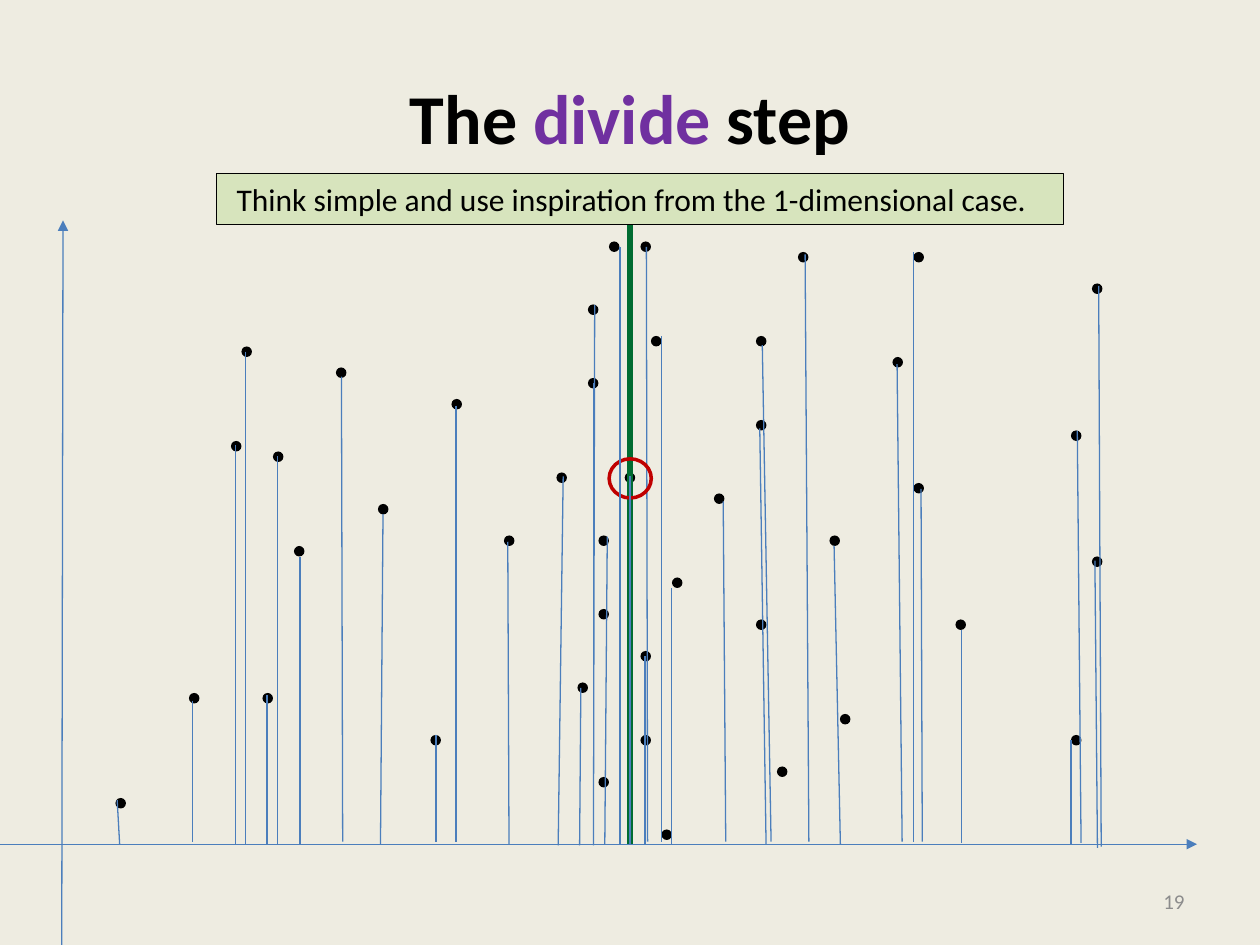
"""Build the slide showing the divide step on a set of points in the plane."""
from lxml.etree import SubElement
from pptx import Presentation
from pptx.dml.color import RGBColor
from pptx.enum.shapes import MSO_CONNECTOR, MSO_SHAPE
from pptx.enum.text import MSO_ANCHOR, PP_ALIGN
from pptx.oxml.ns import qn
from pptx.util import Cm, Pt

INCH = 2.54
DOT = INCH / 12
AXIS_Y = 6.7
rgb = RGBColor.from_string

DOTS = [
    (43, 38), (48, 51), (87, 46), (61, 62), (55, 65), (79, 51), (80, 68),
    (72, 32), (41, 70), (36, 48), (91, 59), (85, 34), (32, 35), (26, 43),
    (28, 52), (22, 42), (25, 66), (23, 33), (56, 29), (72, 40), (72, 59),
    (74, 73), (76, 24), (87, 24), (102, 41), (104, 53), (104, 27), (102, 70),
    (18, 66), (11, 76), (57, 51), (57, 74), (63, 79), (57, 58), (64, 55),
    (62, 32), (56, 36), (53, 45), (68, 47), (58, 23), (61, 23), (61, 70),
    (59.5, 45),
]
STEMS = [
    (1.95, 2.79, 1.95, 6.7), (2.2, 3.62, 2.2, 6.7), (2.38, 4.42, 2.38, 6.7),
    (3.04, 4.08, 3.02, 6.7), (2.71, 2.99, 2.72, 6.68), (3.62, 3.22, 3.62, 6.68),
    (4.03, 4.3, 4.04, 6.7), (4.47, 3.78, 4.43, 6.71), (3.46, 5.83, 3.46, 6.68),
    (4.61, 5.46, 4.6, 6.71), (6.39, 2.02, 6.42, 6.68), (8.72, 2.27, 8.74, 6.72),
    (7.63, 5, 7.63, 6.69), (8.5, 5.87, 8.5, 6.7), (8.55, 3.42, 8.58, 6.69),
    (8.69, 4.45, 8.71, 6.73), (5.33, 4.67, 5.33, 6.7), (7.25, 2, 7.25, 6.68),
    (7.31, 3.88, 7.32, 6.68), (6.62, 4.33, 6.67, 6.7), (7.12, 2.89, 7.16, 6.68),
    (6.03, 3.4, 6.08, 6.7), (6.05, 2.74, 6.12, 6.68), (4.71, 3.04, 4.71, 6.68),
    (4.72, 2.42, 4.71, 6.71), (5.74, 3.98, 5.76, 6.68), (5.13, 1.96, 5.14, 6.68),
    (5.25, 2.67, 5.25, 6.68), (1.53, 5.56, 1.53, 6.68), (2.12, 5.52, 2.12, 6.7),
    (0.93, 6.35, 0.95, 6.7), (1.87, 3.53, 1.87, 6.7),
]
MIDDLE_STEMS = [
    (4.92, 1.96, 4.92, 6.71), (4.82, 4.26, 4.8, 6.7),
    (5, 3.78, 5, 6.71), (5.12, 5.21, 5.12, 6.71),
]


def add_line(ends, color="4B7EBC", width=0.75, arrow=False):
    cxn = s.shapes.add_connector(MSO_CONNECTOR.STRAIGHT, *[Cm(v * INCH) for v in ends])
    cxn.line.color.rgb = rgb(color)
    cxn.line.width = Pt(width)
    if arrow:
        SubElement(cxn.line._get_or_add_ln(), qn("a:tailEnd"), type="triangle")
    SubElement(cxn._element.spPr, qn("a:effectLst"))


def add_text(sp, runs, size, align, anchor):
    tf = sp.text_frame
    tf.word_wrap = True
    tf.vertical_anchor = anchor
    p = tf.paragraphs[0]
    p.alignment = align
    for text, color in runs:
        r = p.add_run()
        r.text = text
        r.font.name = "Calibri"
        r.font.size = Pt(size)
        r.font.color.rgb = rgb(color)
    return p


prs = Presentation()
prs.slide_width, prs.slide_height = Cm(25.4), Cm(19.05)
s = prs.slides.add_slide(prs.slide_layouts[6])
s.background.fill.solid()
s.background.fill.fore_color.rgb = rgb("EEECE1")

add_line((-0.17, AXIS_Y, 9.5, AXIS_Y), arrow=True)
add_line((0.49, 7.67, 0.5, 1.75), arrow=True)

sp = s.shapes.add_textbox(Cm(1.27), Cm(0.76), Cm(22.86), Cm(3.18))
title = [("The ", "000000"), ("divide", "7030A0"), (" step", "000000")]
p = add_text(sp, title, 40, PP_ALIGN.CENTER, MSO_ANCHOR.MIDDLE)
for r in p.runs:
    r.font.bold = True

sp = s.shapes.add_textbox(Cm(18.2), Cm(17.65), Cm(5.93), Cm(1.02))
add_text(sp, [("19", "8C8C8C")], 12, PP_ALIGN.RIGHT, MSO_ANCHOR.MIDDLE)

for x, y in DOTS:
    sp = s.shapes.add_shape(MSO_SHAPE.OVAL, Cm(x * DOT), Cm(y * DOT), Cm(DOT), Cm(DOT))
    sp.shadow.inherit = False
    sp.fill.solid()
    sp.fill.fore_color.rgb = rgb("000000")
    sp.line.fill.background()

for ends in STEMS:
    add_line(ends)

add_line((5, 1.75, 5, AXIS_Y), "006C31", 3)

sp = s.shapes.add_shape(MSO_SHAPE.OVAL, Cm(12.28), Cm(9.25), Cm(0.85), Cm(0.79))
sp.shadow.inherit = False
sp.fill.background()
sp.line.color.rgb = rgb("C00000")
sp.line.width = Pt(2)

for ends in MIDDLE_STEMS:
    add_line(ends)

sp = s.shapes.add_shape(MSO_SHAPE.RECTANGLE, Cm(4.37), Cm(3.5), Cm(17.07), Cm(1.03))
sp.shadow.inherit = False
sp.fill.solid()
sp.fill.fore_color.rgb = rgb("D7E4BD")
sp.line.color.rgb = rgb("000000")
sp.line.width = Pt(0.75)
sp.text_frame.margin_left = Cm(0.4)
hint = "Think simple and use inspiration from the 1-dimensional case."
add_text(sp, [(hint, "000000")], 18, PP_ALIGN.LEFT, MSO_ANCHOR.TOP)

prs.save("out.pptx")
